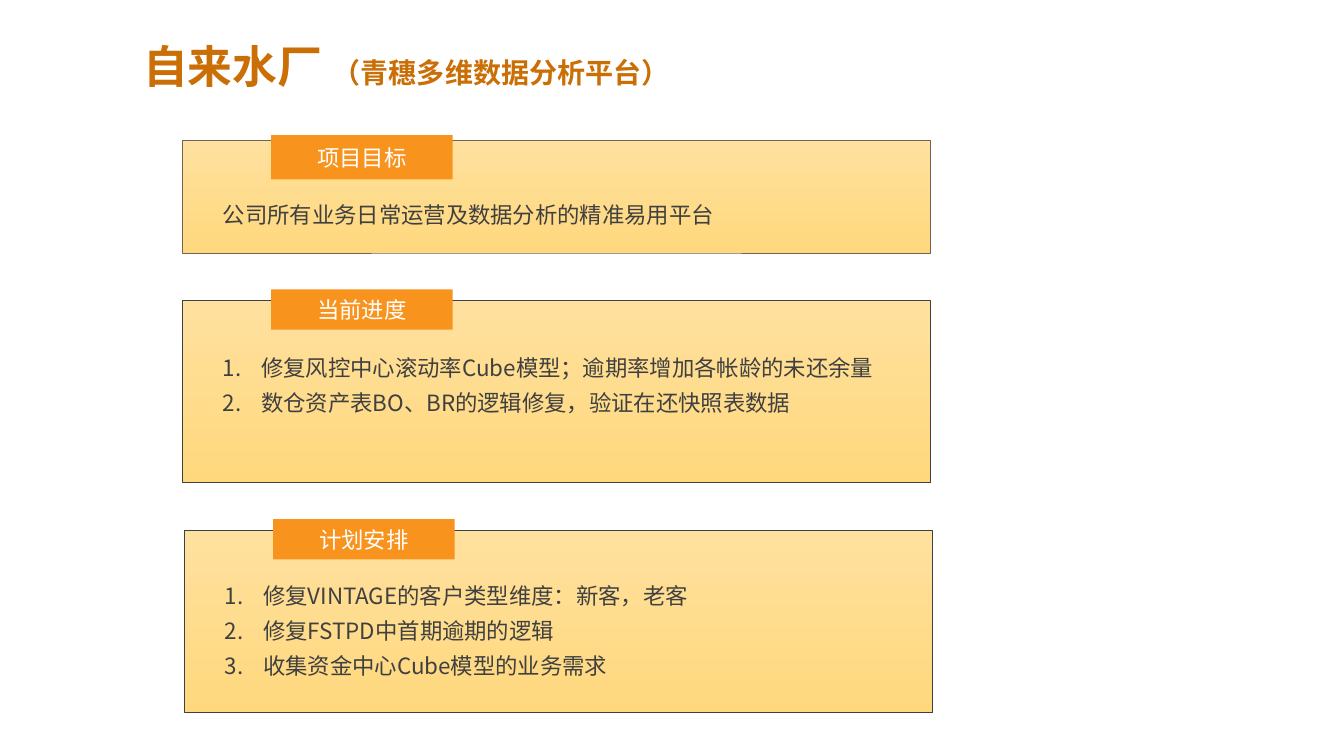
"""Build the project status slide with three labelled panels."""
import pptx
import pptx.dml.color
import pptx.enum.shapes
import pptx.enum.text
import pptx.oxml
import pptx.oxml.ns
import pptx.util
from pptx.util import Inches, Pt

TITLE = [("自来水厂 ", 32), ("（青穗多维数据分析平台）", 20)]
SANS = "Noto Sans CJK SC"
PANELS = [
    dict(label="项目目标", left=1.81, top=1.39, high=1.12, line="746256",
         rise=0.05, tab=0.44, drop=0.49, wide=6.59, count=False,
         items=["公司所有业务日常运营及数据分析的精准易用平台"]),
    dict(label="当前进度", left=1.81, top=2.98, high=1.81, line="404040",
         rise=0.11, tab=0.4, drop=0.41, wide=7.12, count=True,
         items=["修复风控中心滚动率Cube模型；逾期率增加各帐龄的未还余量",
                "数仓资产表BO、BR的逻辑修复，验证在还快照表数据"]),
    dict(label="计划安排", left=1.83, top=5.26, high=1.81, line="404040",
         rise=0.11, tab=0.4, drop=0.4, wide=7.07, count=True,
         items=["修复VINTAGE的客户类型维度：新客，老客",
                "修复FSTPD中首期逾期的逻辑",
                "收集资金中心Cube模型的业务需求"]),
]


def color(code):
    return pptx.dml.color.RGBColor.from_string(code)


def add_xml(tag, **attrs):
    node = pptx.oxml.parse_xml(f"<a:{tag} {pptx.oxml.ns.nsdecls('a')}/>")
    for key, val in attrs.items():
        node.set(key, str(val))
    return node


def style(para, name, code, size=None, bold=None):
    font = para.font
    font.name, font.size, font.bold = name, size, bold
    font.color.rgb = color(code)
    base = para._p.pPr.find(pptx.oxml.ns.qn("a:defRPr"))
    base.append(add_xml("ea", typeface=SANS))
    return base


def indent(para, left, hang=0):
    props = para._p.get_or_add_pPr()
    props.set("marL", str(Inches(left)))
    props.set("indent", str(Inches(-hang)))


def pad(frame):
    frame.word_wrap = True
    frame.margin_left = frame.margin_right = Inches(0.08)
    frame.margin_top = frame.margin_bottom = Inches(0.04)


def add_box(slide, *place):
    kind = pptx.enum.shapes.MSO_SHAPE.RECTANGLE
    box = slide.shapes.add_shape(kind, *map(Inches, place))
    box.shadow.inherit = False
    return box


def add_title(slide):
    title = slide.shapes.title
    title.left, title.top = Inches(0.92), Inches(0.42)
    title.width, title.height = Inches(8.37), Inches(0.53)
    frame = title.text_frame
    frame.auto_size = pptx.enum.text.MSO_AUTO_SIZE.NONE
    frame.vertical_anchor = pptx.enum.text.MSO_ANCHOR.MIDDLE
    para = frame.paragraphs[0]
    para.alignment = pptx.enum.text.PP_ALIGN.LEFT
    para.line_spacing = 0.9
    indent(para, 0.4)
    style(para, "Montserrat", "CA6F06", bold=True)
    for text, size in TITLE:
        run = para.add_run()
        run.text = text
        run.font.size = Pt(size)


def add_panel(slide, panel):
    left, top = panel["left"], panel["top"]
    back = add_box(slide, left, top, 7.42, panel["high"])
    back.fill.gradient()
    back.fill.gradient_angle = 270
    for stop, code in zip(back.fill.gradient_stops, ("FFE19F", "FFD87D")):
        stop.color.rgb = color(code)
    back.line.color.rgb = color(panel["line"])
    back.line.width = Pt(0.5)

    label = add_box(slide, left + 0.88, top - panel["rise"], 1.8, panel["tab"])
    label.fill.solid()
    label.fill.fore_color.rgb = color("F8931D")
    label.line.fill.background()
    pad(label.text_frame)
    label.text_frame.vertical_anchor = pptx.enum.text.MSO_ANCHOR.MIDDLE
    para = label.text_frame.paragraphs[0]
    para.text = panel["label"]
    para.alignment = pptx.enum.text.PP_ALIGN.CENTER
    style(para, SANS, "FFFFFF", Pt(16))

    items = panel["items"]
    place = (left + 0.32, top + panel["drop"], panel["wide"],
             0.02 + 0.37 * len(items))
    frame = slide.shapes.add_textbox(*map(Inches, place)).text_frame
    pad(frame)
    frame.text = "\n".join(items)
    for para in frame.paragraphs:
        para.line_spacing = 1.3
        base = style(para, SANS, "404040", Pt(16))
        if panel["count"]:
            indent(para, 0.38, 0.38)
            base.addprevious(add_xml("buAutoNum", type="arabicPeriod"))


def main():
    deck = pptx.Presentation()
    deck.slide_width, deck.slide_height = Inches(13.33), Inches(7.5)
    slide = deck.slides.add_slide(deck.slide_layouts[5])
    add_title(slide)
    for panel in PANELS:
        add_panel(slide, panel)
    deck.save("out.pptx")


if __name__ == "__main__":
    main()
